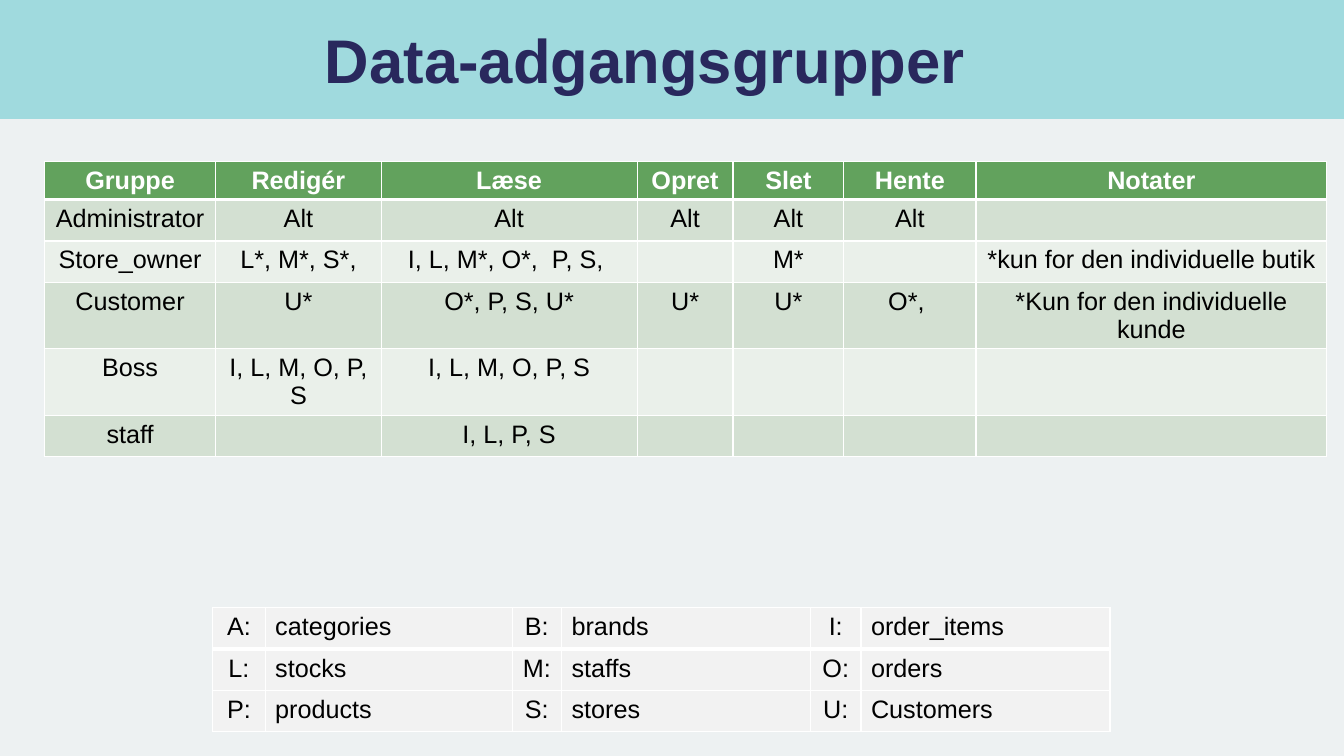
from lxml.etree import SubElement
from pptx import Presentation
from pptx.dml.color import RGBColor
from pptx.enum.shapes import MSO_SHAPE
from pptx.enum.text import MSO_ANCHOR, PP_ALIGN
from pptx.oxml.ns import qn
from pptx.util import Inches, Pt

COLORS = {
    "background": "EDF1F2", "band": "A0DADE", "title": "29285D",
    "header": "62A25D", "odd_row": "D3E0D2", "even_row": "EAF0EA",
    "legend": "F2F2F2", "white": "FFFFFF", "black": "000000",
}
ACCESS_ROWS = [
    ["Gruppe", "Redigér", "Læse", "Opret", "Slet", "Hente", "Notater"],
    ["Administrator", "Alt", "Alt", "Alt", "Alt", "Alt", ""],
    ["Store_owner", "L*, M*, S*,", "I, L, M*, O*,  P, S, ", "", "M*", "",
     "*kun for den individuelle butik"],
    ["Customer", "U*", "O*, P, S, U*", "U*", "U*", "O*, ",
     "*Kun for den individuelle kunde"],
    ["Boss", "I, L, M, O, P, S", "I, L, M, O, P, S", "", "", "", ""],
    ["staff", "", "I, L, P, S", "", "", "", ""],
]
LEGEND_ROWS = [
    ["A:", "categories", "B:", "brands", "I:", "order_items"],
    ["L:", "stocks", "M:", "staffs", "O:", "orders"],
    ["P:", "products", "S:", "stores", "U:", "Customers"],
]


def color(name):
    return RGBColor.from_string(COLORS[name])


def write_text(frame, text, color_name, size=18, bold=False, align=PP_ALIGN.CENTER):
    para = frame.paragraphs[0]
    para.alignment = align
    if text:
        span = para.add_run()
        span.text = text
        values = {"name": "Arial", "size": Pt(size), "bold": bold}
        for attribute, value in values.items():
            setattr(span.font, attribute, value)
        span.font.color.rgb = color(color_name)
    return para


def add_borders(cell, row):
    """Draw white cell borders, thick between the first and second rows."""
    properties = cell._tc.get_or_add_tcPr()
    widths = {"lnL": 1, "lnR": 1, "lnT": 3 if row == 1 else 1, "lnB": 3 if row == 0 else 1}
    for tag, width in widths.items():
        line = SubElement(properties, qn(f"a:{tag}"), w=str(Pt(width)))
        fill = SubElement(line, qn("a:solidFill"))
        SubElement(fill, qn("a:srgbClr"), val=COLORS["white"])


def add_grid(page, rows, left, top, widths, heights, has_header=False):
    frame = page.shapes.add_table(
        len(rows), len(widths), Inches(left), Inches(top),
        Inches(sum(widths)), Inches(sum(heights)))
    table = frame.table
    table.first_row = has_header
    table.horz_banding = has_header
    for column, width in zip(table.columns, widths):
        column.width = Inches(width)
    for row, height in zip(table.rows, heights):
        row.height = Inches(height)
    return table


def fill_cell(cell, row, text, fill_name, **text_format):
    add_borders(cell, row)
    cell.fill.solid()
    cell.fill.fore_color.rgb = color(fill_name)
    write_text(cell.text_frame, text, **text_format)


def add_access_table(page):
    table = add_grid(page, ACCESS_ROWS, 0.44, 1.6,
                     [1.7, 1.64, 2.54, 0.95, 1.1, 1.31, 3.48],
                     [0.3] + [0.41] * 5, has_header=True)
    for row, texts in enumerate(ACCESS_ROWS):
        is_header = row == 0
        fill_name = "header" if is_header else "odd_row" if row % 2 else "even_row"
        for column, text in enumerate(texts):
            fill_cell(table.cell(row, column), row, text, fill_name,
                      color_name="white" if is_header else "black", bold=is_header)


def add_legend_table(page):
    table = add_grid(page, LEGEND_ROWS, 2.11, 6.03,
                     [0.52, 2.45, 0.49, 2.47, 0.5, 2.47], [0.41] * 3)
    for row, texts in enumerate(LEGEND_ROWS):
        for column, text in enumerate(texts):
            fill_cell(table.cell(row, column), row, text, "legend", color_name="black",
                      align=PP_ALIGN.LEFT if column % 2 else PP_ALIGN.CENTER)


def add_title(page, deck_width):
    """Format the title and lay the coloured band behind it."""
    title = page.shapes.title
    place = {"left": 2.59, "top": 0, "width": 7.62, "height": 1.01}
    for attribute, value in place.items():
        setattr(title, attribute, Inches(value))
    title.text_frame.vertical_anchor = MSO_ANCHOR.BOTTOM
    para = write_text(title.text_frame, "Data-adgangsgrupper", "title", size=44, bold=True)
    para.line_spacing = 0.9

    band = page.shapes.add_shape(MSO_SHAPE.RECTANGLE, 0, 0, deck_width, Inches(1.18))
    band.shadow.inherit = False
    band.fill.solid()
    band.fill.fore_color.rgb = color("band")
    band.line.fill.background()
    title.element.addprevious(band.element)


def main():
    deck = Presentation()
    deck.slide_width, deck.slide_height = Inches(13.33), Inches(7.5)
    page = deck.slides.add_slide(deck.slide_layouts[5])
    page.background.fill.solid()
    page.background.fill.fore_color.rgb = color("background")
    add_title(page, deck.slide_width)
    add_access_table(page)
    add_legend_table(page)
    deck.save("out.pptx")


if __name__ == "__main__":
    main()
